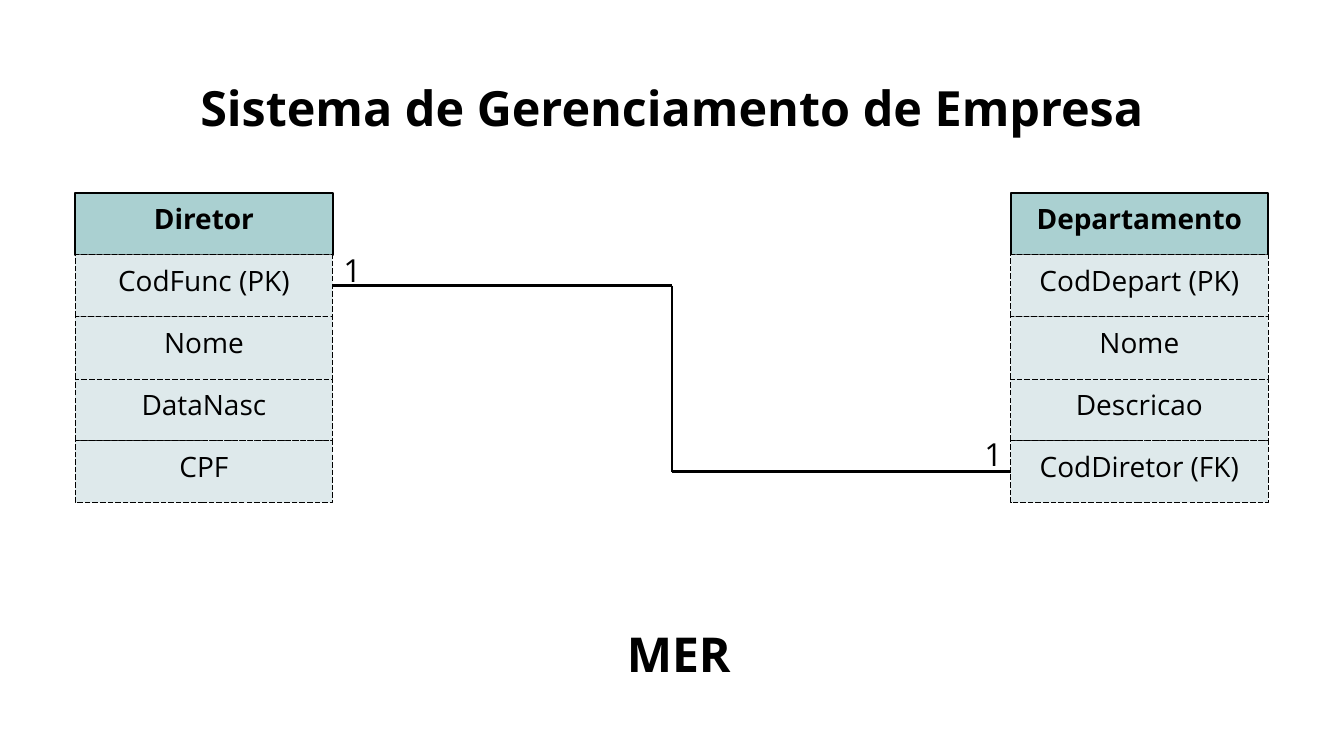
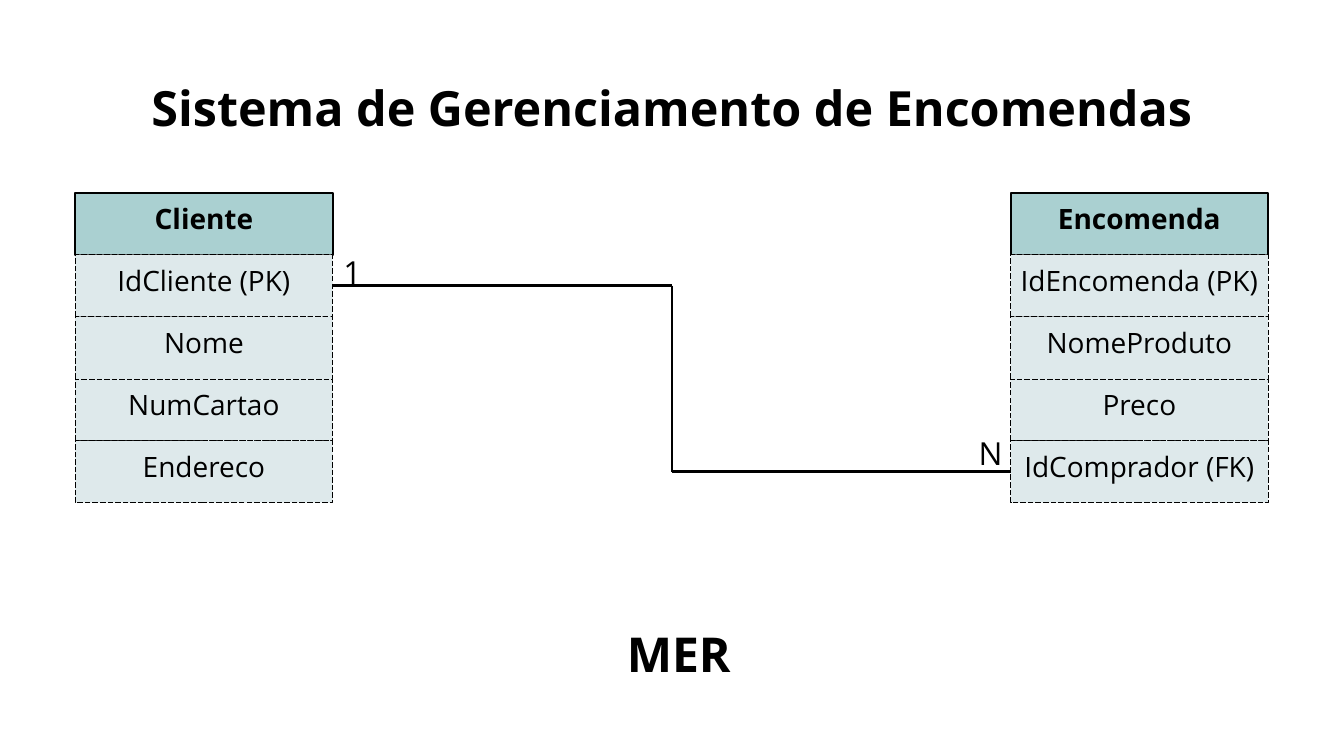
from dataclasses import dataclass

from lxml.etree import SubElement
from pptx import Presentation
from pptx.dml.color import RGBColor
from pptx.enum.dml import MSO_LINE
from pptx.enum.shapes import MSO_CONNECTOR, MSO_SHAPE
from pptx.enum.text import MSO_ANCHOR, MSO_AUTO_SIZE, PP_ALIGN
from pptx.oxml.ns import qn
from pptx.shapes.autoshape import Shape
from pptx.slide import Slide
from pptx.util import Pt

SCALE = 9144
FONT = "Open Sans"
BLACK = "000000"
TEAL = "AAD0D1"
PALE = "DEE9EB"
LEFT, RIGHT = 112, 1504
TOP, WIDTH, HEIGHT = 287, 383, 461
MID = 1000
BOTTOM, SIDE_R, SIDE_L = 24, 3, 1


@dataclass
class Mark:
    text: str
    left: int
    top: int
    width: int


@dataclass
class Table:
    name: str
    fields: list[str]


@dataclass
class Page:
    title: str
    start: Table
    end: Table
    marks: list[Mark]


PAGES = [
    Page(
        "Sistema de Gerenciamento de Empresa",
        Table("Diretor", ["CodFunc (PK)", "Nome", "DataNasc", "CPF"]),
        Table("Departamento", ["CodDepart (PK)", "Nome", "Descricao", "CodDiretor (FK)"]),
        [Mark("1", 511, 364, 27), Mark("1", 1465, 638, 27)],
    ),
    Page(
        "Sistema de Gerenciamento de Encomendas",
        Table("Cliente", ["IdCliente (PK)", "Nome", "NumCartao", "Endereco"]),
        Table("Encomenda", ["IdEncomenda (PK)", "NomeProduto", "Preco", "IdComprador (FK)"]),
        [Mark("1", 511, 367, 27), Mark("N", 1456, 636, 36)],
    ),
]


def px(count: int) -> int:
    return count * SCALE


def paint(code: str) -> RGBColor:
    return RGBColor.from_string(code)


def place(shape: Shape, left: int, top: int, width: int, height: int) -> None:
    shape.left, shape.top = px(left), px(top)
    shape.width, shape.height = px(width), px(height)


def write(shape: Shape, text: str, *, size: float, bold: bool = False,
          anchor: MSO_ANCHOR = MSO_ANCHOR.TOP, side: int = 0, base: int = 0) -> None:
    frame = shape.text_frame
    frame.word_wrap = True
    frame.auto_size = MSO_AUTO_SIZE.NONE
    frame.vertical_anchor = anchor
    frame.margin_left = frame.margin_right = px(side)
    frame.margin_top, frame.margin_bottom = 0, px(base)
    line = frame.paragraphs[0]
    line.alignment = PP_ALIGN.CENTER
    line.line_spacing = Pt(size * 1.4)
    run = line.add_run()
    run.text = text
    font = run.font
    font.name, font.size, font.bold = FONT, Pt(size), bold
    font.color.rgb = paint(BLACK)


def label(slide: Slide, text: str, left: int, top: int, width: int, height: int,
          **style) -> None:
    box = slide.shapes.add_textbox(px(left), px(top), px(width), px(height))
    write(box, text, **style)


def draw_table(slide: Slide, table: Table, left: int) -> list[Shape]:
    names = [table.name, *table.fields]
    edges = [TOP + round(i * HEIGHT / len(names)) for i in range(len(names) + 1)]
    cells = []
    for i, name in enumerate(names):
        head = i == 0
        cell = slide.shapes.add_shape(MSO_SHAPE.RECTANGLE, px(left), px(edges[i]),
                                      px(WIDTH), px(edges[i + 1] - edges[i]))
        cell.shadow.inherit = False
        cell.fill.solid()
        cell.fill.fore_color.rgb = paint(TEAL if head else PALE)
        cell.line.color.rgb = paint(BLACK)
        cell.line.width = Pt(2.25 if head else 0.75)
        if not head:
            cell.line.dash_style = MSO_LINE.LONG_DASH
        write(cell, name, size=30, bold=head, anchor=MSO_ANCHOR.MIDDLE,
              side=6, base=BOTTOM)
        cells.append(cell)
    return cells


def draw_line(slide: Slide, start: tuple[int, int], end: tuple[int, int],
              first: Shape | None = None, last: Shape | None = None) -> None:
    line = slide.shapes.add_connector(MSO_CONNECTOR.STRAIGHT, *start, *end)
    line.line.color.rgb = paint(BLACK)
    line.line.width = Pt(3)
    SubElement(line._element.spPr, qn("a:effectLst"))
    if first is not None:
        line.begin_connect(first, SIDE_R)
    if last is not None:
        line.end_connect(last, SIDE_L)


def link(slide: Slide, first: Shape, last: Shape) -> None:
    high = first.top + first.height // 2
    low = last.top + last.height // 2
    mid = px(MID)
    draw_line(slide, (first.left + first.width, high), (mid, high), first=first)
    draw_line(slide, (mid, low), (last.left, low), last=last)
    draw_line(slide, (mid, high), (mid, low))


def draw_page(slide: Slide, page: Page) -> None:
    title = slide.shapes.title
    place(title, 200, 102, 1600, 97)
    write(title, page.title, size=52, bold=True)
    start = draw_table(slide, page.start, LEFT)
    end = draw_table(slide, page.end, RIGHT)
    link(slide, start[1], end[-1])
    for mark in page.marks:
        label(slide, mark.text, mark.left, mark.top, mark.width, 63, size=34)
    label(slide, "MER", 929, 915, 162, 97, size=51.5, bold=True)


def main() -> None:
    deck = Presentation()
    deck.slide_width, deck.slide_height = px(2000), px(1125)
    for page in PAGES:
        draw_page(deck.slides.add_slide(deck.slide_layouts[5]), page)
    deck.save("out.pptx")


if __name__ == "__main__":
    main()
